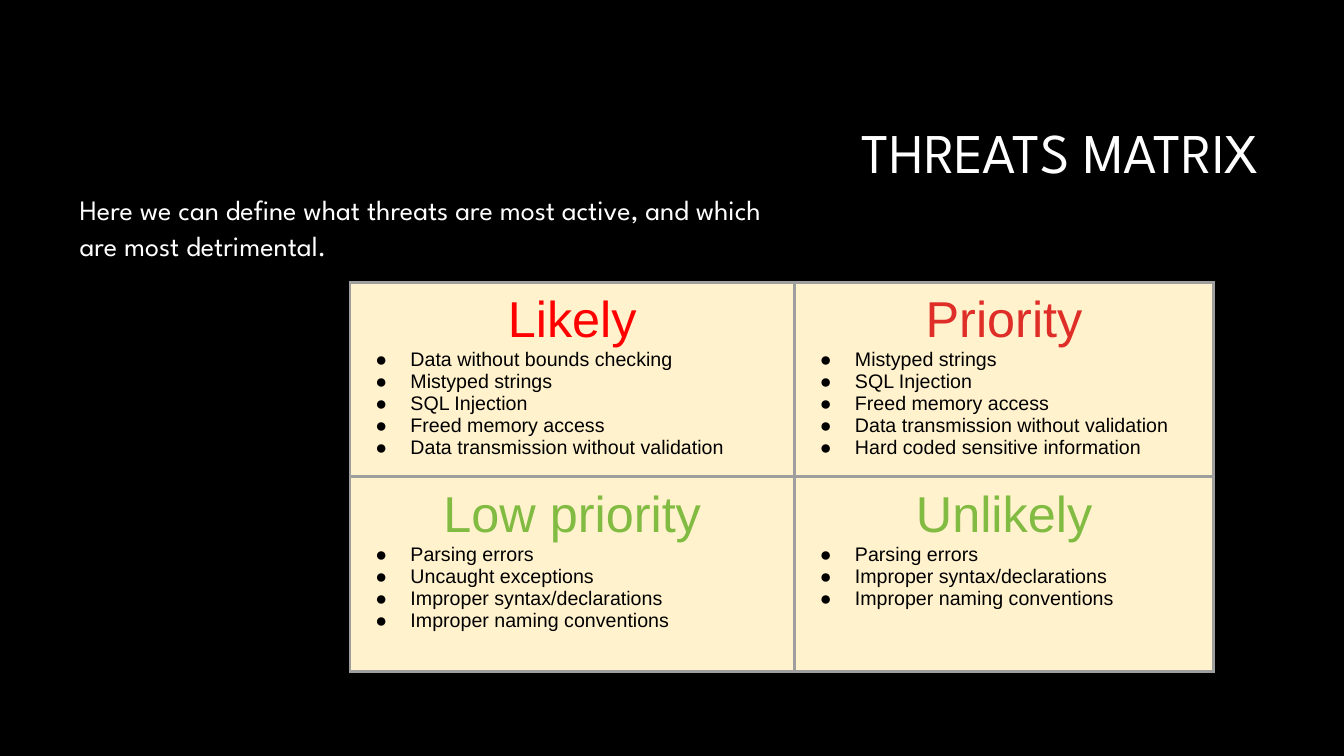
"""Build the threats matrix slide."""
from lxml import etree
from pptx import Presentation
from pptx.dml.color import RGBColor
from pptx.enum.text import MSO_ANCHOR, MSO_AUTO_SIZE, PP_ALIGN
from pptx.oxml.ns import qn
from pptx.util import Pt

LEFT, CENTER, RIGHT = PP_ALIGN.LEFT, PP_ALIGN.CENTER, PP_ALIGN.RIGHT
TOP, MIDDLE = MSO_ANCHOR.TOP, MSO_ANCHOR.MIDDLE
NO_AUTOFIT = MSO_AUTO_SIZE.NONE

BLACK = RGBColor(0x00, 0x00, 0x00)
WHITE = RGBColor(0xFF, 0xFF, 0xFF)
RED = RGBColor(0xFF, 0x00, 0x00)
DARK_RED = RGBColor(0xDF, 0x2E, 0x28)
GREEN = RGBColor(0x81, 0xBB, 0x42)
CREAM = RGBColor(0xFF, 0xF2, 0xCC)
GRAY = RGBColor(0x9E, 0x9E, 0x9E)

HEADING_FONT = "League Spartan"
TABLE_FONT = "Arial"

THREATS = [
    [
        ("Likely", RED, [
            "Data without bounds checking",
            "Mistyped strings",
            "SQL Injection",
            "Freed memory access",
            "Data transmission without validation",
        ]),
        ("Priority", DARK_RED, [
            "Mistyped strings",
            "SQL Injection",
            "Freed memory access",
            "Data transmission without validation",
            "Hard coded sensitive information",
        ]),
    ],
    [
        ("Low priority", GREEN, [
            "Parsing errors",
            "Uncaught exceptions",
            "Improper syntax/declarations",
            "Improper naming conventions",
        ]),
        ("Unlikely", GREEN, [
            "Parsing errors",
            "Improper syntax/declarations",
            "Improper naming conventions",
        ]),
    ],
]
COLUMN_WIDTHS = [Pt(317.5), Pt(299.5)]
ROW_HEIGHT = Pt(139)


def write(paragraph, text, font, size, color, alignment=LEFT, spacing=1.0,
          margin=0, indent=0, bullet=None):
    run = paragraph.add_run()
    run.text = text
    run.font.name = font
    run.font.size = Pt(size)
    run.font.color.rgb = color
    paragraph.alignment = alignment
    paragraph.line_spacing = spacing
    paragraph.space_before = paragraph.space_after = Pt(0)
    properties = paragraph._p.get_or_add_pPr()
    properties.set("marL", str(Pt(margin)))
    properties.set("indent", str(Pt(indent)))
    if bullet:
        bullet_color = etree.SubElement(properties, qn("a:buClr"))
        etree.SubElement(bullet_color, qn("a:srgbClr"), val=str(color))
        etree.SubElement(properties, qn("a:buFont"), typeface=font)
        etree.SubElement(properties, qn("a:buChar"), char=bullet)
    else:
        etree.SubElement(properties, qn("a:buNone"))


def add_borders(cell, color, width):
    properties = cell._tc.get_or_add_tcPr()
    for side in ("a:lnL", "a:lnR", "a:lnT", "a:lnB"):
        line = etree.SubElement(properties, qn(side), w=str(Pt(width)))
        fill = etree.SubElement(line, qn("a:solidFill"))
        etree.SubElement(fill, qn("a:srgbClr"), val=str(color))


presentation = Presentation()
presentation.slide_width = Pt(960)
presentation.slide_height = Pt(540)
slide = presentation.slides.add_slide(presentation.slide_layouts[1])
slide.background.fill.solid()
slide.background.fill.fore_color.rgb = BLACK

title, body = slide.placeholders
title.left, title.top, title.width, title.height = Pt(228), Pt(60.5), Pt(678.5), Pt(101.5)
body.left, body.top, body.width, body.height = Pt(31.7), Pt(131.8), Pt(548), Pt(119)
for placeholder, anchor in ((title, MIDDLE), (body, TOP)):
    frame = placeholder.text_frame
    frame.word_wrap = True
    frame.auto_size = NO_AUTOFIT
    frame.vertical_anchor = anchor
    frame.margin_left = frame.margin_right = Pt(7.2)
    frame.margin_top = frame.margin_bottom = Pt(3.6)

write(title.text_frame.paragraphs[0], "THREATS MATRIX", HEADING_FONT, 40, WHITE,
      alignment=RIGHT, spacing=0.9)
write(body.text_frame.paragraphs[0],
      "Here we can define what threats are most active, and which are most detrimental.",
      HEADING_FONT, 20, WHITE, spacing=1.08, margin=18)

matrix = slide.shapes.add_table(
    len(THREATS), len(COLUMN_WIDTHS), Pt(250), Pt(201.6),
    sum(COLUMN_WIDTHS), ROW_HEIGHT * len(THREATS)).table
matrix.first_row = False
matrix.horz_banding = False
for column, width in zip(matrix.columns, COLUMN_WIDTHS):
    column.width = width

for row_index, row_threats in enumerate(THREATS):
    matrix.rows[row_index].height = ROW_HEIGHT
    for column_index, (heading, color, threats) in enumerate(row_threats):
        cell = matrix.cell(row_index, column_index)
        cell.margin_left = cell.margin_right = Pt(7.2)
        cell.margin_top = cell.margin_bottom = Pt(7.2)
        add_borders(cell, GRAY, 2.25)
        cell.fill.solid()
        cell.fill.fore_color.rgb = CREAM
        frame = cell.text_frame
        write(frame.paragraphs[0], heading, TABLE_FONT, 36, color, alignment=CENTER)
        for threat in threats:
            write(frame.add_paragraph(), threat, TABLE_FONT, 14, BLACK,
                  margin=36, indent=-25, bullet="●")

presentation.save("out.pptx")
